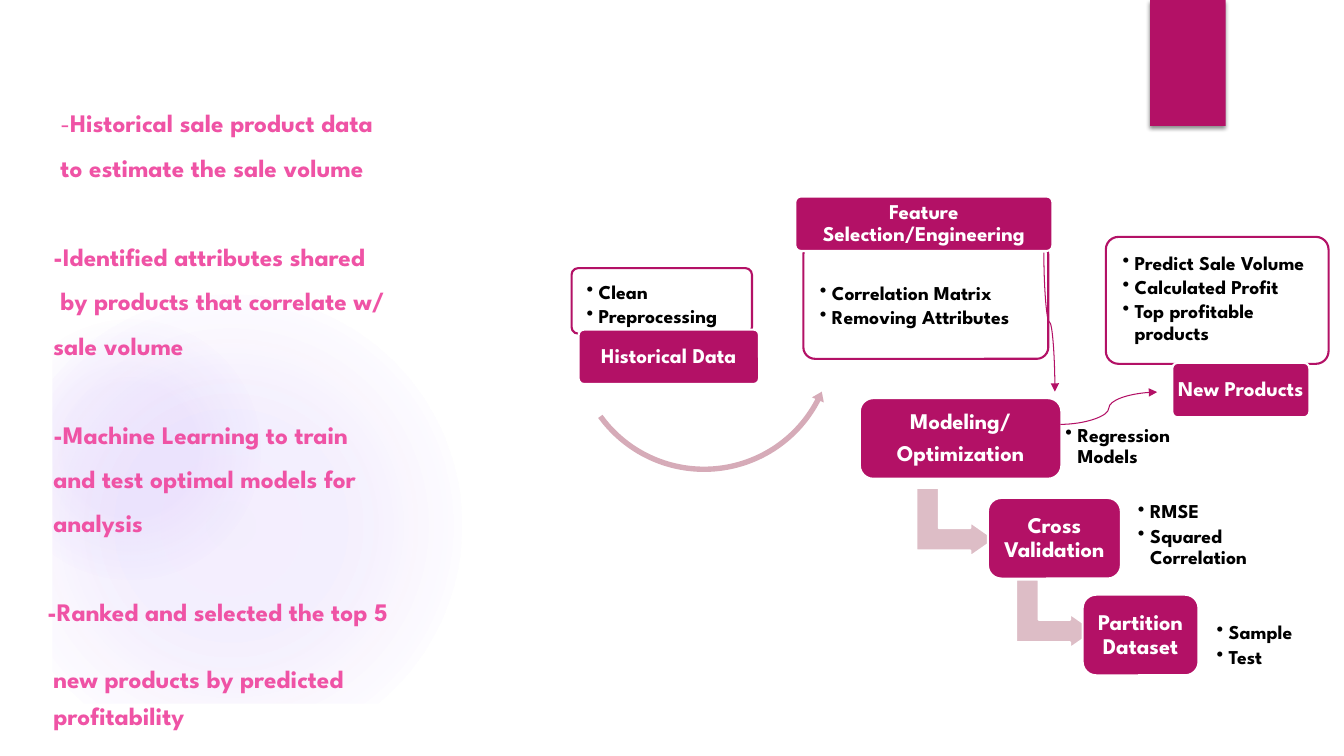
import lxml.etree
import pptx
import pptx.dml.color
import pptx.enum.shapes
import pptx.enum.text
import pptx.oxml
import pptx.oxml.ns
import pptx.util

COLOURS = {
    "accent": "B31166", "white": "FFFFFF", "black": "000000", "pink": "EF53A5",
    "arc": "D6ABB8", "bend": "DDBDC6", "glow": "9B6BF2",
}
FONT = "League Spartan"
CELL = 0.1
COLUMNS, ROWS = 133.33, 75
FRAME_CELLS = 5.2
SHAPES = pptx.enum.shapes.MSO_SHAPE
ALIGN = pptx.enum.text.PP_ALIGN
ANCHOR = pptx.enum.text.MSO_ANCHOR


def cells(count):
    """Turn a number of grid cells into a length."""
    return pptx.util.Inches(count * CELL)


def within(box, offset):
    """Place an offset box of four lengths inside its parent box."""
    return (box[0] + offset[0], box[1] + offset[1], offset[2], offset[3])


def colour(name):
    """Look up a colour by name."""
    return pptx.dml.color.RGBColor.from_string(COLOURS[name])


def add_child(parent, tag, **attributes):
    """Append a drawing element with its attributes."""
    child = lxml.etree.SubElement(parent, pptx.oxml.ns.qn(tag))
    for name, value in attributes.items():
        child.set(name, str(value))
    return child


def add_block(slide, kind, box, fill, line=None, adjustments=()):
    """Add a flat preset shape."""
    block = slide.shapes.add_shape(kind, *map(cells, box))
    block.shadow.inherit = False
    block.fill.solid()
    block.fill.fore_color.rgb = colour(fill)
    if line:
        block.line.color.rgb = colour(line)
        block.line.width = pptx.util.Pt(1.5)
    else:
        block.line.fill.background()
    for index, value in enumerate(adjustments):
        block.adjustments[index] = value
    return block


def prepare_frame(shape, anchor, side, top):
    """Set wrapping, anchor and margins, and return the text frame."""
    frame = shape.text_frame
    frame.word_wrap = True
    frame.vertical_anchor = anchor
    frame.margin_left = frame.margin_right = cells(side)
    frame.margin_top = frame.margin_bottom = cells(top)
    return frame


def next_para(frame, index, spacing, before=0, after=0):
    """Return the paragraph at an index with its spacing set."""
    para = frame.add_paragraph() if index else frame.paragraphs[0]
    para.line_spacing = spacing
    para.space_before = pptx.util.Pt(before)
    para.space_after = pptx.util.Pt(after)
    return para


def add_run(para, text, size, fill, bold=True):
    """Add one formatted run."""
    run = para.add_run()
    run.text = text
    run.font.name = FONT
    run.font.size = pptx.util.Pt(size)
    run.font.bold = bold
    run.font.color.rgb = colour(fill)


def write_bullets(frame, items):
    """Fill a frame with bulleted lines."""
    for index, item in enumerate(items):
        para = next_para(frame, index, 0.9, after=2.1)
        para.alignment = ALIGN.LEFT
        properties = para._p.get_or_add_pPr()
        properties.set("marL", str(cells(1.2)))
        properties.set("indent", str(-cells(1.2)))
        add_child(properties, "a:buChar", char="•")
        add_run(para, item, 14, "black")


def add_label(slide, box, lines, size, corner, side):
    """Add a rounded accent block with centred white text."""
    label = add_block(slide, SHAPES.ROUNDED_RECTANGLE, box, "accent", "white", [corner])
    frame = prepare_frame(label, ANCHOR.MIDDLE, side, side)
    for index, line in enumerate(lines):
        para = next_para(frame, index, 0.9, after=size * 0.35)
        para.alignment = ALIGN.CENTER
        add_run(para, line, size, "white")


def add_glow(slide, box, stops):
    """Add a soft circle that fades outwards."""
    glow = add_block(slide, SHAPES.OVAL, box, "glow")
    properties = glow.element.spPr
    gradient = pptx.oxml.ns.qn("a:gradFill")
    gradient = properties.makeelement(gradient, {"rotWithShape": "1"})
    stop_list = add_child(gradient, "a:gsLst")
    for position, opacity in stops:
        stop = add_child(stop_list, "a:gs", pos=position * 1000)
        tint = add_child(stop, "a:srgbClr", val=COLOURS["glow"])
        add_child(tint, "a:alpha", val=opacity * 1000)
    circle = add_child(gradient, "a:path", path="circle")
    add_child(circle, "a:fillToRect", l=50000, t=50000, r=50000, b=50000)
    properties.replace(properties.find(pptx.oxml.ns.qn("a:solidFill")), gradient)


def add_backdrop(slide, box):
    """Lay the glows, the white frame and the top tab."""
    add_glow(slide, within(box, (0, 29.2, 45.8, 45.8)), [(0, 11), (36, 10), (75, 0)])
    add_glow(slide, within(box, (0, 31.7, 25.8, 25.8)), [(0, 8), (36, 8), (72, 0)])
    add_block(slide, SHAPES.FRAME, box, "white", adjustments=[FRAME_CELLS / box[3]])
    tab = add_block(slide, SHAPES.RECTANGLE, within(box, (114.1, 0, 7.5, 12.5)), "accent")
    effects = tab.element.spPr.find(pptx.oxml.ns.qn("a:effectLst"))
    shadow = add_child(effects, "a:outerShdw", blurRad=pptx.util.Pt(3),
                       dist=pptx.util.Pt(2), dir=90 * 60000, rotWithShape=0)
    add_child(add_child(shadow, "a:srgbClr", val=COLOURS["black"]), "a:alpha", val=45000)


def add_summary(slide, box):
    """Fill the body placeholder with the four findings."""
    body = slide.placeholders[1]
    body.left, body.top, body.width, body.height = map(cells, box)
    slide.shapes._spTree.append(body.element)
    frame = prepare_frame(body, ANCHOR.TOP, 1, 0.5)
    gap, line, section, loose = 0, 10, 42, 22
    lines = [
        (["-", "Historical sale product data"], 3.4, gap, 1),
        (["to estimate the sale volume"], 3.4, 11, 1),
        (["-Identified attributes shared"], 2.7, section, 1),
        (["by products that correlate w/"], 3.4, line, 1),
        (["sale volume"], 2.7, line, 1),
        (["-Machine Learning to train"], 2.7, section, 1),
        (["and test optimal models for"], 2.7, line, 1),
        (["analysis"], 2.7, line, 1),
        (["-Ranked and selected the top 5"], 2.1, section, 1),
        (["new products by predicted"], 2.7, loose, 1.2),
        (["profitability"], 2.7, gap, 1.2),
    ]
    for index, (texts, indent, before, spacing) in enumerate(lines):
        para = next_para(frame, index, spacing, before)
        para.alignment = ALIGN.LEFT
        properties = para._p.get_or_add_pPr()
        properties.set("marL", str(cells(indent)))
        properties.set("indent", "0")
        add_child(properties, "a:buNone")
        for text in texts:
            add_run(para, text, 18, "pink", bold=text != "-")


def add_card(slide, box, top, items, label_offset, label):
    """Add an outlined list with its label."""
    card = add_block(slide, SHAPES.ROUNDED_RECTANGLE, box, "white", "accent", [0.1])
    write_bullets(prepare_frame(card, ANCHOR.TOP, 1.3, top), items)
    add_label(slide, within(box, label_offset), [label], 15, 0.1, 0.2)


def add_stage(slide, box, lines, note_offset, items):
    """Add a modelling step with the notes at its right."""
    add_label(slide, box, lines, 16, 0.167, 0.7)
    note = slide.shapes.add_textbox(*map(cells, within(box, note_offset)))
    write_bullets(prepare_frame(note, ANCHOR.TOP, 0.6, 0), items)


def add_curve(slide, start, end, rotation=0):
    """Add a curved arrow, turned about its centre."""
    curve = slide.shapes.add_connector(
        pptx.enum.shapes.MSO_CONNECTOR.CURVE, *map(cells, start + end))
    curve.line.color.rgb = colour("accent")
    curve.line.width = pptx.util.Pt(0.75)
    properties = curve.element.spPr
    properties.find(pptx.oxml.ns.qn("a:xfrm")).set("rot", str(rotation * 60000))
    add_child(properties.find(pptx.oxml.ns.qn("a:ln")), "a:tailEnd", type="triangle")
    add_child(properties, "a:effectLst")


def add_flow(slide, box):
    """Draw the process diagram."""
    add_card(slide, within(box, (0, 7.1, 17.9, 6.5)), 1.2, ["Clean", "Preprocessing"],
             (0.7, 6.1, 17.9, 5.4), "Historical Data")
    arc = add_block(slide, SHAPES.LEFT_CIRCULAR_ARROW, within(box, (-0.2, 1, 26.7, 26.7)),
                    "arc", adjustments=[0.02, 2.434, 21.361, 91.417, 0.024])
    arc.rotation = 351.7
    add_card(slide, within(box, (23, 4.6, 24.3, 11.5)), 3.7,
             ["Correlation Matrix", "Removing Attributes"],
             (-0.8, -4.6, 25.5, 5.4), "Feature Selection/Engineering")
    add_card(slide, within(box, (53, 4, 22.1, 12.6)), 1.3,
             ["Predict Sale Volume", "Calculated Profit", "Top profitable products"],
             (6.6, 12.5, 13.6, 5.4), "New Products")
    for left, top in [(34.7, 28.4), (44.6, 37.5)]:
        bend = add_block(slide, SHAPES.BENT_UP_ARROW, within(box, (left, top, 6.8, 7.8)),
                         "bend", "white", [0.328, 0.25, 0.358])
        bend.rotation = 90
    add_stage(slide, within(box, (28.6, 20, 20, 8)), ["Modeling/", "Optimization"],
              (19.8, 2.7, 15.6, 5.6), ["Regression Models"])
    add_stage(slide, within(box, (41.3, 29.9, 13.2, 8)), ["Cross Validation"],
              (14.3, 0.4, 19, 6.5), ["RMSE", "Squared Correlation"])
    add_stage(slide, within(box, (50.7, 39.5, 11.5, 8)), ["Partition Dataset"],
              (12.7, 2.8, 11.3, 6.5), ["Sample", "Test"])
    left, top = box[:2]
    add_curve(slide, (left + 54.3, top + 11.9), (left + 40.5, top + 13), 270)
    add_curve(slide, (left + 48.5, top + 22.6), (left + 58.1, top + 19.4))


def main():
    """Build the process slide and save it."""
    deck = pptx.Presentation()
    deck.slide_width, deck.slide_height = cells(COLUMNS), cells(ROWS)
    slide = deck.slides.add_slide(deck.slide_layouts[1])
    slide.shapes._spTree.remove(slide.shapes.title.element)
    add_backdrop(slide, (0, 0, COLUMNS, ROWS))
    add_summary(slide, (1.6, 10.1, 50, 63))
    add_flow(slide, (56.7, 19.5, 75.1, 47.5))
    deck.save("out.pptx")


if __name__ == "__main__":
    main()
